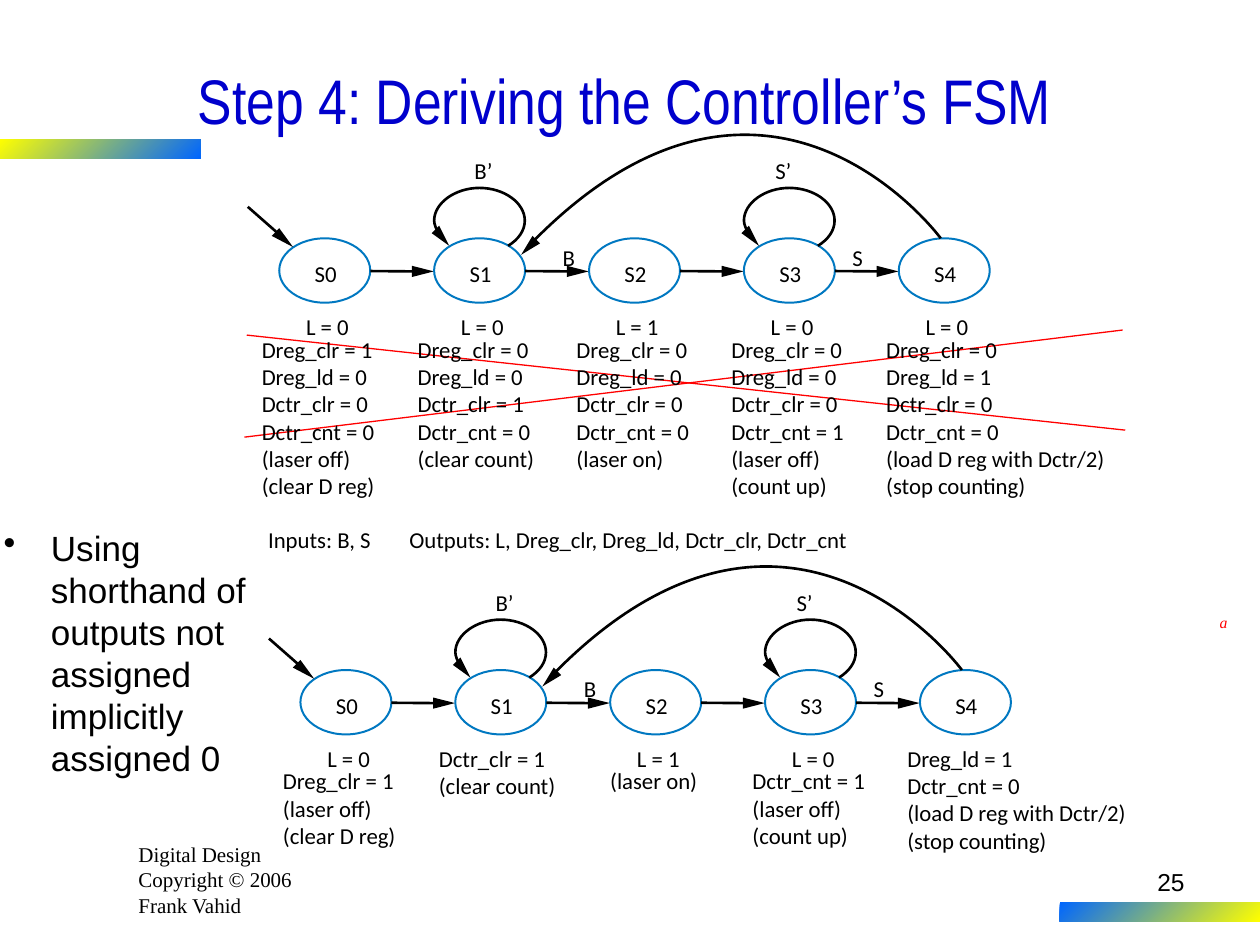
from lxml.etree import SubElement
from pptx import Presentation
from pptx.dml.color import RGBColor
from pptx.enum.shapes import MSO_CONNECTOR, MSO_SHAPE
from pptx.enum.text import MSO_ANCHOR, MSO_AUTO_SIZE, PP_ALIGN
from pptx.oxml.ns import qn
from pptx.util import Pt

COLORS = {
    "black": "000000", "blue": "0000CC", "ring": "0078C1", "red": "FF0000",
    "yellow": "FFFF00", "azure": "0066FF",
}
PITCH, WIDE, HIGH = 88.5, 52, 36.8
LINE = 15.6
LOOP = [(2.7, -2.9), (1.3, -5), (0, -7.9), (0, -10.1),
        (0, -20.2), (12.1, -28.8), (25.9, -28.8),
        (40.1, -28.8), (51.8, -20.2), (51.8, -10.1),
        (51.8, -4.3), (48.1, 0.7), (42.3, 4.3)]
LOOP_TIP = [(8.6, 4.3), (2.9, -7.2), (-1.4, -2.9)]
BACK = [(378, 0), (378, 0), (278, -136), (142.6, 4.3)]
BACK_TIP = [(138.2, 9.4), (149, 2.9), (144.7, -1.4)]
START_TIP = [(7.9, 5), (0, -5.8), (-4.3, -1.4)]
NEXT_TIP = [(88.3, 18.9), (75.8, 15.7), (75.8, 22.1)]
FULL = [
    ("L = 0", -10, ["Dreg_clr = 1", "Dreg_ld = 0", "Dctr_clr = 0",
                    "Dctr_cnt = 0", "(laser off)", "(clear D reg)"]),
    ("L = 0", -9.4, ["Dreg_clr = 0", "Dreg_ld = 0", "Dctr_clr = 1",
                     "Dctr_cnt = 0", "(clear count)"]),
    ("L = 1", -7.2, ["Dreg_clr = 0", "Dreg_ld = 0", "Dctr_clr = 0",
                     "Dctr_cnt = 0", "(laser on)"]),
    ("L = 0", -7.2, ["Dreg_clr = 0", "Dreg_ld = 0", "Dctr_clr = 0",
                     "Dctr_cnt = 1", "(laser off)", "(count up)"]),
    ("L = 0", -7.2, ["Dreg_clr = 0", "Dreg_ld = 1", "Dctr_clr = 0",
                     "Dctr_cnt = 0", "(load D reg with Dctr/2)", "(stop counting)"]),
]
SHORT = [
    ("L = 0", -10, ["Dreg_clr = 1", "(laser off)", "(clear D reg)"]),
    ("", -9.4, ["Dctr_clr = 1", "(clear count)"]),
    ("L = 1", 0, ["(laser on)"]),
    ("L = 0", -7.2, ["Dctr_cnt = 1", "(laser off)", "(count up)"]),
    ("", -7.2, ["Dreg_ld = 1", "Dctr_cnt = 0",
                "(load D reg with Dctr/2)", "(stop counting)"]),
]


def tint(name):
    """Return the named colour."""
    return RGBColor.from_string(COLORS[name])


def write(frame, lines, size, face, color="black", align=PP_ALIGN.LEFT, italic=None):
    """Write one paragraph for each line into a text frame."""
    frame.word_wrap = True
    for i, line in enumerate(lines):
        para = frame.add_paragraph() if i else frame.paragraphs[0]
        para.alignment = align
        run = para.add_run()
        run.text = line
        font = run.font
        font.size, font.name, font.italic = Pt(size), face, italic
        font.color.rgb = tint(color)


def add_text(slide, box, lines, size, face, inset=True, **style):
    """Add a text box, with or without inner margins."""
    frame = slide.shapes.add_textbox(*map(Pt, box)).text_frame
    if not inset:
        frame.margin_left = frame.margin_right = 0
        frame.margin_top = frame.margin_bottom = 0
    write(frame, lines, size, face, **style)
    return frame


def add_label(slide, left, top, *lines):
    """Add a diagram label sized to its lines."""
    wide = 5.8 * max(map(len, lines)) + 3
    add_text(slide, (left, top, wide, LINE * len(lines)), lines, 13, "Calibri", inset=False)


def add_line(slide, start, end, color="black", width=1.5):
    """Add a straight line without a shadow."""
    line = slide.shapes.add_connector(MSO_CONNECTOR.STRAIGHT, *map(Pt, start + end))
    line.line.color.rgb, line.line.width = tint(color), Pt(width)
    SubElement(line._element.spPr, qn("a:effectLst"))


def add_outline(slide, left, top, points, close):
    """Add a freeform through points given relative to a corner."""
    spots = [(Pt(left + x), Pt(top + y)) for x, y in points]
    build = slide.shapes.build_freeform(*spots[0])
    build.add_line_segments(spots[1:], close=close)
    shape = build.convert_to_shape()
    shape.shadow.inherit = False
    return shape


def add_tip(slide, left, top, points):
    """Add a solid arrow tip."""
    tip = add_outline(slide, left, top, points, True)
    tip.fill.solid()
    tip.fill.fore_color.rgb = tint("black")
    tip.line.fill.background()


def add_curve(slide, left, top, points):
    """Add an open curve of cubic pieces, three points for each piece."""
    curve = add_outline(slide, left, top, points, False)
    curve.fill.background()
    curve.line.color.rgb, curve.line.width = tint("black"), Pt(1.5)
    steps = curve._element.xpath(".//a:lnTo")
    for i in range(0, len(steps), 3):
        piece = SubElement(steps[i].getparent(), qn("a:cubicBezTo"))
        for step in steps[i:i + 3]:
            piece.append(step[0])
            step.getparent().remove(step)


def add_state(slide, left, top, name, level, shift, notes):
    """Add one state with its outputs below."""
    ring = slide.shapes.add_shape(MSO_SHAPE.OVAL, *map(Pt, (left, top, WIDE, HIGH)))
    ring.shadow.inherit = False
    ring.fill.background()
    ring.line.color.rgb, ring.line.width = tint("ring"), Pt(1.13)
    add_label(slide, left + 20.2, top + 12.2, name)
    if level:
        add_label(slide, left + 15.3, top + 42.5, level)
    add_label(slide, left + shift, top + (55.4 if level else 42.5), *notes)


def add_machine(slide, left, top, states):
    """Add a state machine whose first state has the given corner."""
    for i, state in enumerate(states):
        x = left + i * PITCH
        add_state(slide, x, top, f"S{i}", *state)
        if i < len(states) - 1:
            add_line(slide, (x + WIDE, top + 18.7), (x + 78, top + 18.9))
            add_tip(slide, x, top, NEXT_TIP)
    for i, sign, over, side in ((1, "B", 23, 73.4), (3, "S", 18, 62)):
        x = left + i * PITCH
        add_curve(slide, x, top, LOOP)
        add_tip(slide, x, top, LOOP_TIP)
        add_label(slide, x + over, top - 46.6, sign + "’")
        add_label(slide, x + side, top + 2.9, sign)
    add_line(slide, (left - 18, top - 18), (left, top - 2.2))
    add_tip(slide, left, top, START_TIP)
    add_curve(slide, left, top, BACK)
    add_tip(slide, left, top, BACK_TIP)


def add_bar(slide, left, top, first, last):
    """Add a gradient bar at the slide edge."""
    bar = slide.shapes.add_shape(MSO_SHAPE.RECTANGLE, *map(Pt, (left, top, 114.5, 11)))
    bar.shadow.inherit = False
    bar.line.fill.background()
    bar.fill.gradient()
    bar.fill.gradient_angle = 315
    for stop, name in zip(bar.fill.gradient_stops, (first, last)):
        stop.color.rgb = tint(name)


def add_title(slide, box, text):
    """Place and format the title."""
    title = slide.shapes.title
    title.left, title.top, title.width, title.height = map(Pt, box)
    frame = title.text_frame
    frame.auto_size = MSO_AUTO_SIZE.NONE
    frame.vertical_anchor = MSO_ANCHOR.MIDDLE
    write(frame, [text], 36, "Arial Narrow", color="blue", align=PP_ALIGN.CENTER)


def add_bullet(slide, box, text):
    """Add the bulleted remark."""
    frame = add_text(slide, box, [text], 20, "Arial")
    props = frame.paragraphs[0]._p.get_or_add_pPr()
    props.set("marL", str(Pt(27)))
    props.set("indent", str(Pt(-27)))
    SubElement(props, qn("a:buChar")).set("char", "•")


def main():
    """Build and save the slide."""
    deck = Presentation()
    deck.slide_width, deck.slide_height = Pt(720), Pt(540)
    slide = deck.slides.add_slide(deck.slide_layouts[5])
    add_text(slide, (72, 477.5, 120, 50.4),
             ["Digital Design", "Copyright © 2006", "Frank Vahid"], 12, "Times New Roman")
    add_bar(slide, 0, 79.7, "yellow", "azure")
    add_bar(slide, 605.5, 515.5, "azure", "yellow")
    add_text(slide, (534, 492, 150, 36), ["25"], 14, "Arial", align=PP_ALIGN.RIGHT)
    add_title(slide, (18, 24, 678, 66), "Step 4: Deriving the Controller’s FSM")
    add_bullet(slide, (-5, 297.4, 159, 155.5),
               "Using shorthand of outputs not assigned implicitly assigned 0")
    add_text(slide, (697, 350, 8, 11), ["a"], 9, "Times New Roman",
             inset=False, color="red", italic=True)
    add_line(slide, (141, 191.5), (643, 245.8), "red", 0.75)
    add_line(slide, (139.7, 249.8), (641.5, 188.6), "red", 0.75)
    add_machine(slide, 159.6, 136.2, FULL)
    add_machine(slide, 171.7, 382.9, SHORT)
    add_label(slide, 153.2, 300.5, "Inputs: B, S")
    add_label(slide, 234, 300.5, "Outputs: L, Dreg_clr, Dreg_ld, Dctr_clr, Dctr_cnt")
    deck.save("out.pptx")


if __name__ == "__main__":
    main()
